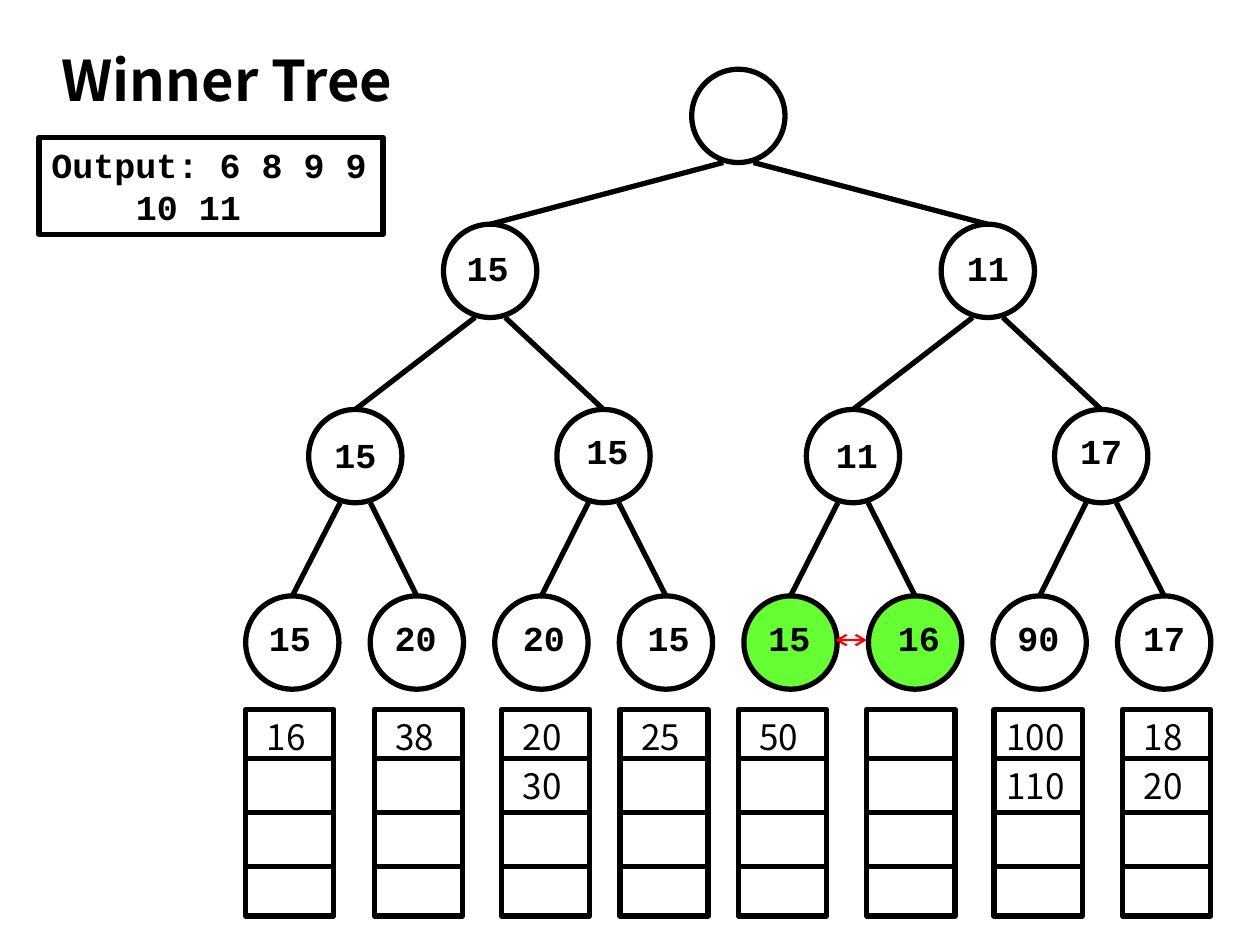
from dataclasses import dataclass

from lxml import etree
from pptx import Presentation
from pptx.dml.color import RGBColor
from pptx.enum.shapes import MSO_CONNECTOR, MSO_SHAPE
from pptx.enum.text import MSO_AUTO_SIZE, PP_ALIGN
from pptx.oxml.ns import qn
from pptx.util import Inches, Pt

OVAL, RECTANGLE = MSO_SHAPE.OVAL, MSO_SHAPE.RECTANGLE
STRAIGHT = MSO_CONNECTOR.STRAIGHT
GROW = MSO_AUTO_SIZE.SHAPE_TO_FIT_TEXT
LEFT, CENTER = PP_ALIGN.LEFT, PP_ALIGN.CENTER

BLACK = RGBColor(0x00, 0x00, 0x00)
GREEN = RGBColor(0x66, 0xFF, 0x33)
RED = RGBColor(0xFF, 0x00, 0x00)
MONO, SANS = "Courier New", "Noto Sans CJK KR"

DIAMETER = 0.74
EDGE_SPREAD = 0.12
LABEL_WIDTH, LABEL_HEIGHT = 0.68, 0.44
RUN_TOP, RUN_WIDTH, RUN_HEIGHT = 5.63, 0.7, 1.64
DIVIDERS = (6.02, 6.45, 6.88)


@dataclass
class Player:
    value: str
    center: float
    top: float
    label_shift: float = 0
    label_drop: float = 0.11
    fill: RGBColor | None = None


@dataclass
class SortedRun:
    left: float
    values: tuple[str, ...] = ()


LEAVES = [
    ("15", -0.02, None), ("20", -0.01, None), ("20", 0.02, None), ("15", 0.02, None),
    ("15", -0.01, GREEN), ("16", 0.03, GREEN), ("90", -0.01, None), ("17", 0, None),
]
TREE = [
    Player("", 5.86, 0.55),
    Player("15", 3.89, 1.78, -0.02, 0.13),
    Player("11", 7.84, 1.78, 0, 0.13),
    Player("15", 2.82, 3.25, 0, 0.14),
    Player("15", 4.79, 3.25, 0.03),
    Player("11", 6.77, 3.25, 0.03, 0.14),
    Player("17", 8.74, 3.25),
] + [
    Player(value, 2.32 + 6.92 * i / 7, 4.73, shift, fill=fill)
    for i, (value, shift, fill) in enumerate(LEAVES)
]
RUNS = [
    SortedRun(1.95, ("16",)), SortedRun(2.97, ("38",)),
    SortedRun(3.98, ("20", "30")), SortedRun(4.92, ("25",)),
    SortedRun(5.86, ("50",)), SortedRun(6.88),
    SortedRun(7.89, ("100", "110")), SortedRun(8.91, ("18", "20")),
]


def add_outline(slide, kind, left: float, top: float, width: float, height: float,
                fill: RGBColor | None = None):
    outline = slide.shapes.add_shape(
        kind, Inches(left), Inches(top), Inches(width), Inches(height))
    outline.shadow.inherit = False
    if fill is None:
        outline.fill.background()
    else:
        outline.fill.solid()
        outline.fill.fore_color.rgb = fill
    outline.line.color.rgb = BLACK
    outline.line.width = Pt(3)
    return outline


def add_line(slide, x1: float, y1: float, x2: float, y2: float,
             color: RGBColor = BLACK, width: float = 3):
    line = slide.shapes.add_connector(
        STRAIGHT, Inches(x1), Inches(y1), Inches(x2), Inches(y2))
    line.line.color.rgb = color
    line.line.width = Pt(width)
    etree.SubElement(line._element.spPr, qn("a:effectLst"))
    return line


def write(paragraph, text: str, font: str, size: int = 20, bold: bool = False,
          align=LEFT) -> None:
    paragraph.alignment = align
    run = paragraph.add_run()
    run.text = text
    run.font.name = font
    run.font.size = Pt(size)
    run.font.bold = bold
    run.font.color.rgb = BLACK


def add_label(slide, text: str, left: float, top: float, width: float, height: float,
              font: str, **style) -> None:
    frame = slide.shapes.add_textbox(
        Inches(left), Inches(top), Inches(width), Inches(height)).text_frame
    frame.word_wrap = True
    frame.auto_size = GROW
    write(frame.paragraphs[0], text, font, **style)


def draw_player(slide, player: Player) -> None:
    add_outline(slide, OVAL, player.center - DIAMETER / 2, player.top,
                DIAMETER, DIAMETER, player.fill)
    if player.value:
        add_label(slide, player.value,
                  player.center + player.label_shift - LABEL_WIDTH / 2,
                  player.top + player.label_drop, LABEL_WIDTH, LABEL_HEIGHT,
                  MONO, bold=True, align=CENTER)


def draw_edges(slide, tree: list[Player]) -> None:
    for i, child in enumerate(tree[1:], start=1):
        parent = tree[(i - 1) // 2]
        spread = -EDGE_SPREAD if i % 2 else EDGE_SPREAD
        add_line(slide, child.center, child.top,
                 parent.center + spread, parent.top + DIAMETER)


def draw_run(slide, run: SortedRun) -> None:
    add_outline(slide, RECTANGLE, run.left, RUN_TOP, RUN_WIDTH, RUN_HEIGHT)
    for y in DIVIDERS:
        add_line(slide, run.left, y, run.left + RUN_WIDTH, y)
    for value, top in zip(run.values, (RUN_TOP, *DIVIDERS)):
        inset = 0 if len(value) > 2 else 0.07
        add_label(slide, value, run.left + inset, top,
                  0.71 - 2 * inset, LABEL_HEIGHT, SANS)


def draw_output(slide) -> None:
    frame = add_outline(slide, RECTANGLE, 0.31, 1.09, 2.73, 0.77).text_frame
    frame.word_wrap = False
    frame.auto_size = GROW
    write(frame.paragraphs[0], "Output: 6 8 9 9", MONO, bold=True)
    continuation = frame.add_paragraph()
    continuation._p.get_or_add_pPr().set("marL", str(Inches(0.67)))
    write(continuation, "10 11", MONO, bold=True)


def draw_match(slide) -> None:
    match = add_line(slide, 6.63, 5.08, 6.88, 5.08, RED, 1.25)
    stroke = match.line._get_or_add_ln()
    for end in ("a:headEnd", "a:tailEnd"):
        etree.SubElement(stroke, qn(end), type="arrow")


def main() -> None:
    deck = Presentation()
    deck.slide_width, deck.slide_height = Inches(10), Inches(7.5)
    slide = deck.slides.add_slide(deck.slide_layouts[6])
    for player in TREE:
        draw_player(slide, player)
    draw_edges(slide, TREE)
    for run in RUNS:
        draw_run(slide, run)
    add_label(slide, "Winner Tree", 0.39, 0.31, 3.36, 0.64, SANS, size=32, bold=True)
    draw_output(slide)
    draw_match(slide)
    deck.save("out.pptx")


if __name__ == "__main__":
    main()
